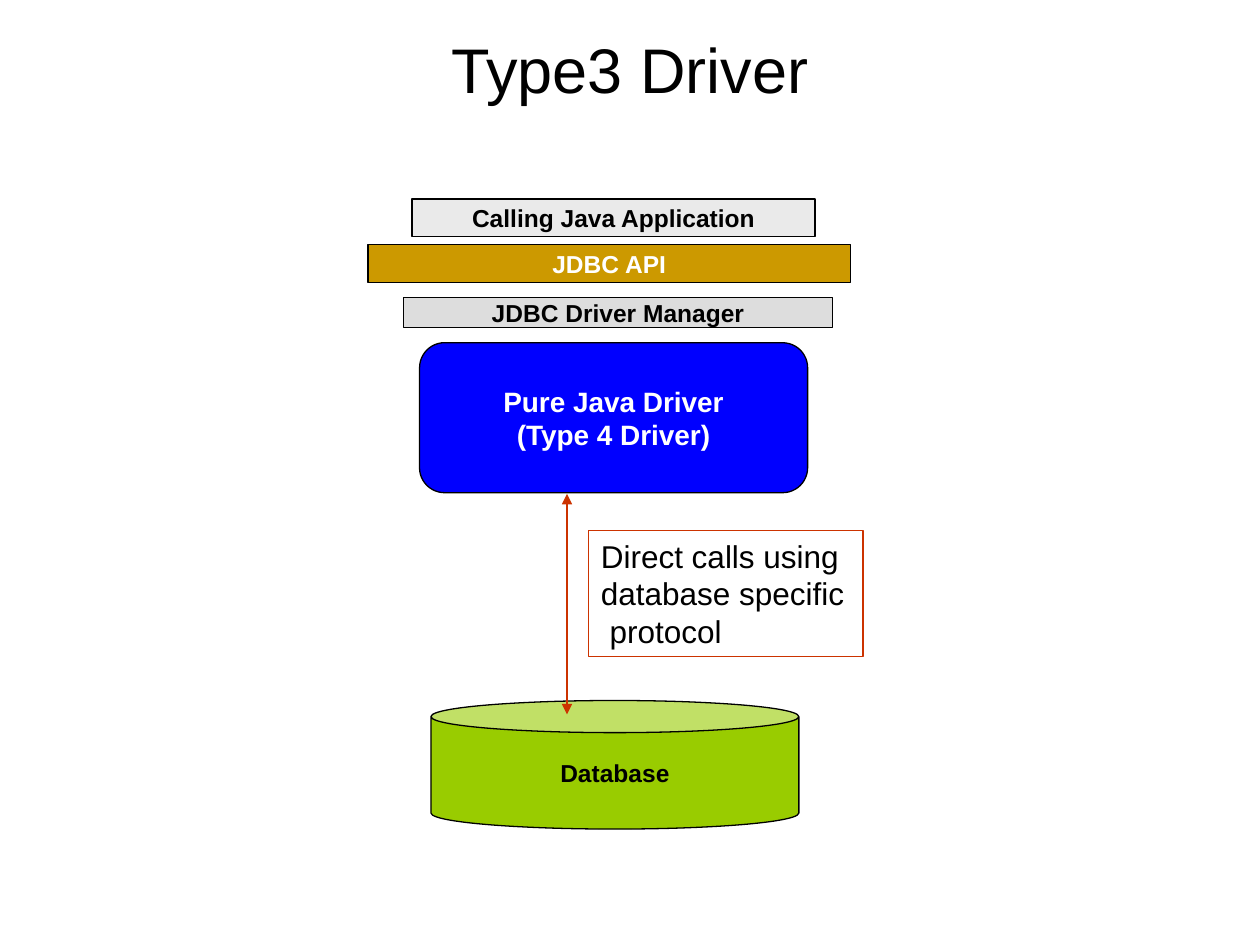
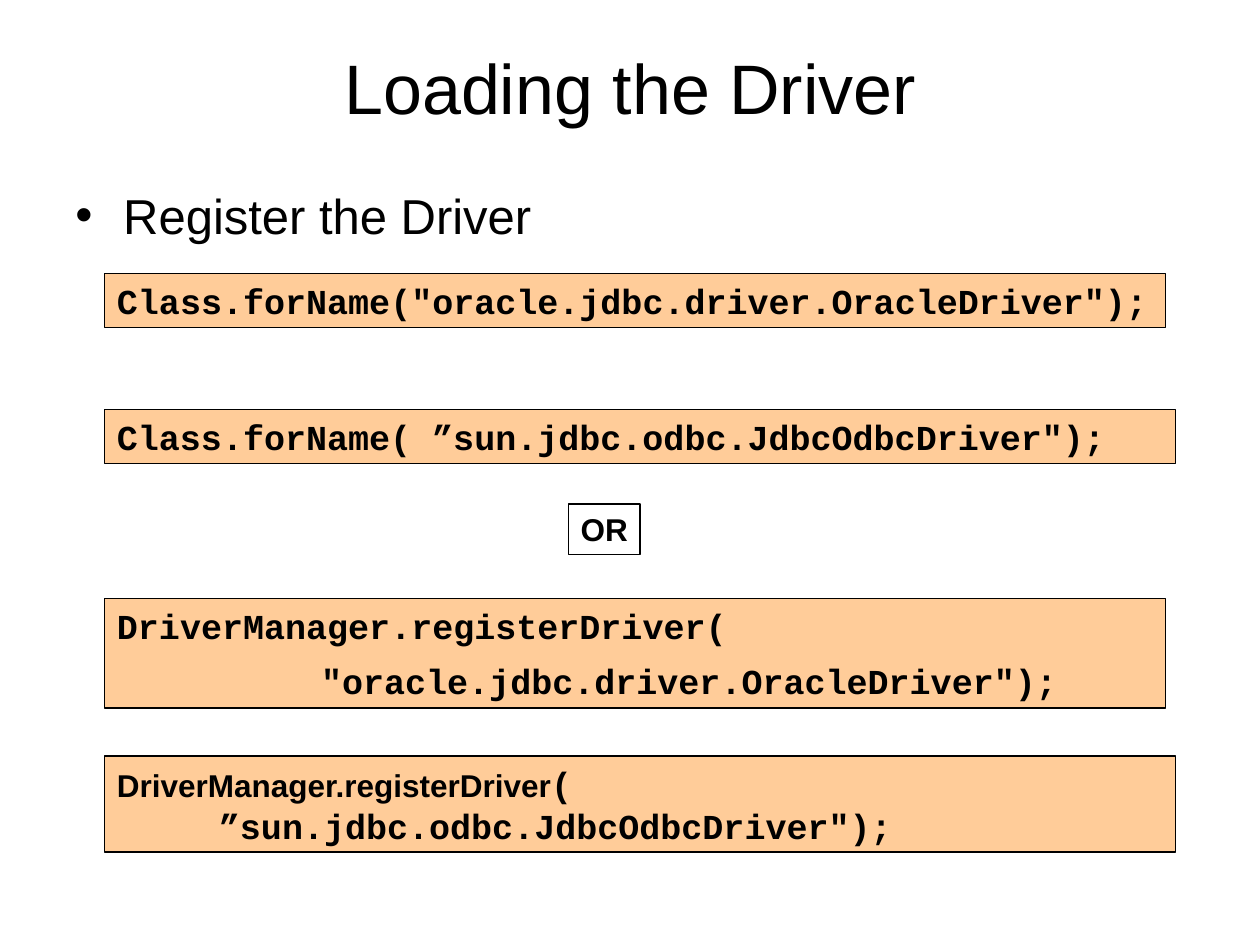
from lxml.etree import SubElement
from pptx import Presentation
from pptx.dml.color import RGBColor
from pptx.enum.shapes import MSO_CONNECTOR, MSO_SHAPE
from pptx.enum.text import MSO_ANCHOR, PP_ALIGN
from pptx.oxml.ns import qn
from pptx.util import Inches, Pt

COLORS = {
    "black": "000000", "white": "FFFFFF", "pale": "EAEAEA", "gray": "DDDDDD",
    "gold": "CC9900", "blue": "0000FF", "green": "99CC00", "red": "CC3300",
    "peach": "FFCC99",
}
WIDTH, HEIGHT = Inches(10), Inches(7.5)
COLUMN, ROW = WIDTH / 10, HEIGHT / 7.5
TITLE_ONLY = 5
SANS, MONO = "Arial", "Courier New"


def color(name):
    """Return the named colour."""
    return RGBColor.from_string(COLORS[name])


def grid(left, top, width, height):
    """Turn columns and rows into slide lengths."""
    return [round(n * unit) for n, unit in
            zip((left, top, width, height), (COLUMN, ROW, COLUMN, ROW))]


def add_span(para, text, size=18, font=SANS, ink="black", bold=False):
    """Add one formatted run to a paragraph."""
    span = para.add_run()
    span.text = text
    span.font.size, span.font.name, span.font.bold = Pt(size), font, bold
    span.font.color.rgb = color(ink)


def write(frame, text, align=PP_ALIGN.LEFT, anchor=MSO_ANCHOR.TOP, wrap=True,
          gap=0, indents=(), bullet=None, **style):
    """Fill a frame with lines, each a string or a list of (text, style) spans."""
    frame.word_wrap, frame.vertical_anchor = wrap, anchor
    for index, line in enumerate([text] if isinstance(text, str) else text):
        para = frame.add_paragraph() if index else frame.paragraphs[0]
        para.alignment = align
        para.space_before = Pt(gap if index else 0)
        properties = para._p.get_or_add_pPr()
        if index < len(indents):
            properties.set("marL", str(Inches(indents[index])))
        if bullet:
            properties.set("indent", str(-Inches(indents[index])))
            SubElement(properties, qn("a:buFont"), typeface=SANS)
            SubElement(properties, qn("a:buChar"), char=bullet)
        for words, changes in [(line, {})] if isinstance(line, str) else line:
            add_span(para, words, **{**style, **changes})


def add_page(deck, title, height, size):
    """Add a slide with a centred title."""
    page = deck.slides.add_slide(deck.slide_layouts[TITLE_ONLY])
    box = page.shapes.title
    box.left, box.top, box.width, box.height = grid(0.5, 0.3, 9, height)
    write(box.text_frame, title, PP_ALIGN.CENTER, MSO_ANCHOR.MIDDLE, size=size)
    return page


def add_box(page, place, text, fill=None, line="black", weight=0.75,
            shape=MSO_SHAPE.RECTANGLE, **style):
    """Add an outlined shape with text."""
    box = page.shapes.add_shape(shape, *grid(*place))
    box.shadow.inherit = False
    if fill:
        box.fill.solid()
        box.fill.fore_color.rgb = color(fill)
    else:
        box.fill.background()
    box.line.color.rgb, box.line.width = color(line), Pt(weight)
    write(box.text_frame, text, **style)


def add_layer(page, place, text, fill, size=14, **style):
    """Add one centred bold layer of the driver stack."""
    add_box(page, place, text, fill, align=PP_ALIGN.CENTER, wrap=False,
            anchor=MSO_ANCHOR.MIDDLE, size=size, bold=True, **style)


def add_code(page, top, width, height, text, **style):
    """Add a code panel."""
    add_box(page, (0.83, top, width, height), text, "peach", weight=1,
            size=20, font=MONO, bold=True, **style)


def add_double_arrow(page, column, top, bottom):
    """Add a vertical line with an arrowhead at each end."""
    x, start, _, end = grid(column, top, 0, bottom)
    arrow = page.shapes.add_connector(MSO_CONNECTOR.STRAIGHT, x, start, x, end)
    arrow.line.color.rgb, arrow.line.width = color("red"), Pt(0.75)
    for tag in ("a:headEnd", "a:tailEnd"):
        SubElement(arrow.line._get_or_add_ln(), qn(tag), type="triangle")
    SubElement(arrow._element.spPr, qn("a:effectLst"))


def build_driver_page(deck):
    """Draw the driver stack above its database."""
    page = add_page(deck, "Type3 Driver", 0.49, 36)
    add_layer(page, (3.27, 1.58, 3.2, 0.3), "Calling Java Application", "pale")
    add_layer(page, (2.92, 1.94, 3.83, 0.3), "JDBC API", "gold", ink="white")
    add_layer(page, (3.2, 2.36, 3.41, 0.24), "JDBC Driver Manager", "gray")
    add_layer(page, (3.33, 2.72, 3.08, 1.19),
              ["Pure Java Driver", "(Type 4 Driver)"], "blue", size=16,
              ink="white", shape=MSO_SHAPE.ROUNDED_RECTANGLE)
    add_layer(page, (3.42, 5.56, 2.92, 1.02), "Database", "green",
              shape=MSO_SHAPE.CAN)
    add_double_arrow(page, 4.5, 3.92, 5.67)
    add_box(page, (4.67, 4.21, 2.18, 1),
            ["Direct calls using", "database specific", "protocol"],
            line="red", indents=(0, 0, 0.07))


def build_loading_page(deck):
    """Show the ways to register a driver."""
    page = add_page(deck, "Loading the Driver", 0.78, 40)
    topic = page.shapes.add_textbox(*grid(0.5, 1.42, 9, 0.67))
    write(topic.text_frame, "Register the Driver", size=28, bullet="•",
          indents=(0.38,))
    add_code(page, 2.17, 8.42, 0.43,
             'Class.forName("oracle.jdbc.driver.OracleDriver");')
    add_code(page, 3.25, 8.5, 0.43,
             'Class.forName( ”sun.jdbc.odbc.JdbcOdbcDriver");')
    add_code(page, 4.75, 8.42, 0.87,
             ["DriverManager.registerDriver(",
              '"oracle.jdbc.driver.OracleDriver");'],
             gap=7.5, indents=(0, 1.62))
    add_code(page, 6, 8.5, 0.76,
             [[("DriverManager.registerDriver", {"size": 18, "font": SANS}),
               ("(", {})],
              '”sun.jdbc.odbc.JdbcOdbcDriver");'],
             indents=(0, 0.81))
    add_box(page, (4.51, 4, 0.57, 0.4), "OR", wrap=False, bold=True)


def main():
    """Build and save the deck."""
    deck = Presentation()
    deck.slide_width, deck.slide_height = WIDTH, HEIGHT
    build_driver_page(deck)
    build_loading_page(deck)
    deck.save("out.pptx")


if __name__ == "__main__":
    main()
